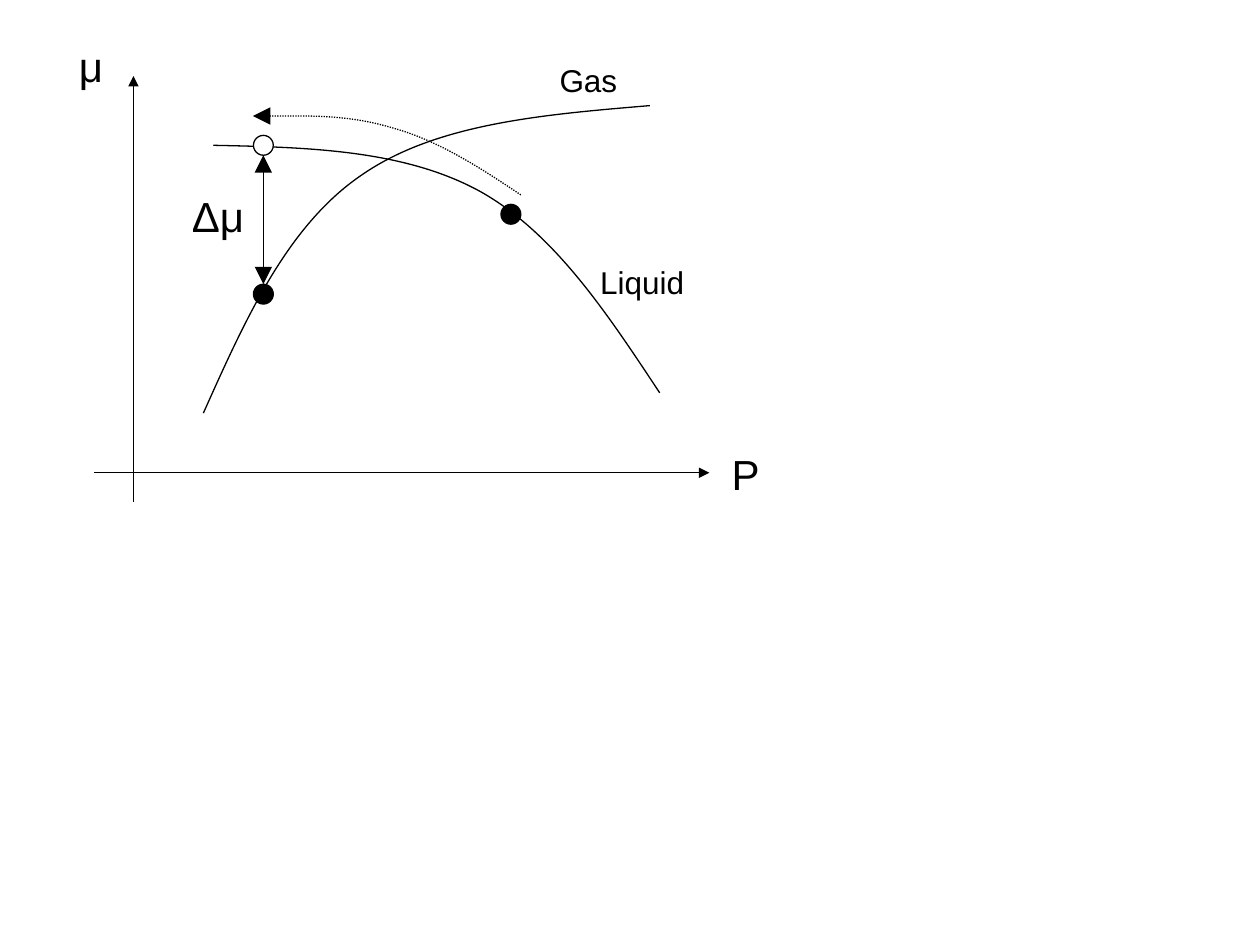
import lxml.etree
import pptx
import pptx.dml.color
import pptx.enum.dml
import pptx.enum.shapes
import pptx.enum.text
import pptx.oxml.ns
import pptx.util

Cm = pptx.util.Cm
qn = pptx.oxml.ns.qn
BLACK, WHITE = "000000", "FFFFFF"
DOT_RADIUS = 0.2

# Each curve: start point, then triples of two control points and an end point
GAS_CURVE = [(4.1, 8.33), (4.95, 6.43), (5.79, 4.55), (7.29, 3.53),
             (8.79, 2.49), (10.95, 2.31), (13.1, 2.13)]
LIQUID_CURVE = [(4.3, 2.93), (6.22, 2.97), (8.15, 3.02), (9.68, 3.86),
                (11.18, 4.7), (12.24, 6.32), (13.3, 7.92)]
EXPANSION_PATH = [(10.5, 3.93), (9.68, 3.38), (8.84, 2.84), (7.95, 2.59),
                  (7.04, 2.31), (6.07, 2.34), (5.1, 2.34)]

# States: stable liquid, metastable liquid, stable gas
LIQUID_STATE = (10.3, 4.32)
METASTABLE_STATE = (5.31, 2.93)
GAS_STATE = (5.31, 5.93)

# Text, left, top, width, height, size
LABELS = [
    ("P", 14.5, 8.92, 1.07, 1.27, 24),
    ("μ", 1.34, 0.7, 1.0, 1.27, 24),
    ("Liquid", 11.85, 5.18, 2.3, 1.02, 18),
    ("Gas", 11.03, 1.1, 1.7, 1.02, 18),
    ("Δμ", 3.62, 3.71, 1.65, 1.27, 24),
]


def color(hex_string):
    return pptx.dml.color.RGBColor.from_string(hex_string)


def apply_format(target, values):
    for name, value in values.items():
        setattr(target, name, value)


def style_line(line, ends=(), size="med", dash=None):
    line.fill.solid()
    line.fill.fore_color.rgb = color(BLACK)
    apply_format(line, {"width": pptx.util.Pt(0.75), "dash_style": dash})
    for end in ends:
        lxml.etree.SubElement(line._get_or_add_ln(), qn(f"a:{end}"),
                              type="triangle", w=size, len=size)


def add_arrow(page, start, finish, ends=("tailEnd",), size="med"):
    arrow = page.shapes.add_connector(
        pptx.enum.shapes.MSO_CONNECTOR.STRAIGHT,
        *(Cm(value) for value in (*start, *finish)))
    style_line(arrow.line, ends, size)
    lxml.etree.SubElement(arrow._element.spPr, qn("a:effectLst"))


def bend_segments(curve):
    """Turn every three straight segments into one cubic Bézier segment."""
    segments = list(curve._element.iter(qn("a:lnTo")))
    for first in range(0, len(segments), 3):
        bend = lxml.etree.Element(qn("a:cubicBezTo"))
        segments[first].addprevious(bend)
        for segment in segments[first:first + 3]:
            bend.append(segment[0])
            segment.getparent().remove(segment)


def add_curve(page, controls, **line_format):
    start, *others = [(Cm(x), Cm(y)) for x, y in controls]
    builder = page.shapes.build_freeform(*start)
    builder.add_line_segments(others, close=False)
    curve = builder.convert_to_shape()
    bend_segments(curve)
    curve.shadow.inherit = False
    curve.fill.background()
    style_line(curve.line, **line_format)


def add_dot(page, center, fill):
    x, y = center
    dot = page.shapes.add_shape(
        pptx.enum.shapes.MSO_SHAPE.OVAL, Cm(x - DOT_RADIUS), Cm(y - DOT_RADIUS),
        Cm(2 * DOT_RADIUS), Cm(2 * DOT_RADIUS))
    dot.shadow.inherit = False
    dot.fill.solid()
    dot.fill.fore_color.rgb = color(fill)
    style_line(dot.line)


def add_label(page, text, left, top, width, height, size):
    box = page.shapes.add_textbox(Cm(left), Cm(top), Cm(width), Cm(height))
    apply_format(box.text_frame, {
        "word_wrap": False,
        "auto_size": pptx.enum.text.MSO_AUTO_SIZE.SHAPE_TO_FIT_TEXT,
    })
    span = box.text_frame.paragraphs[0].add_run()
    span.text = text
    apply_format(span.font, {"name": "Arial", "size": pptx.util.Pt(size)})
    span.font.color.rgb = color(BLACK)


def main():
    deck = pptx.Presentation()
    apply_format(deck, {"slide_width": Cm(25.4), "slide_height": Cm(19.05)})
    page = deck.slides.add_slide(deck.slide_layouts[6])

    # Axes: chemical potential against pressure
    add_arrow(page, (2.69, 10.12), (2.69, 1.53))
    add_arrow(page, (1.9, 9.53), (14.3, 9.53))

    # Phase curves and the dotted expansion path
    add_curve(page, GAS_CURVE)
    add_curve(page, LIQUID_CURVE)
    add_curve(page, EXPANSION_PATH, ends=("tailEnd",), size="lg",
              dash=pptx.enum.dml.MSO_LINE.ROUND_DOT)

    # States and the potential difference between two of them
    for center, fill in ((LIQUID_STATE, BLACK), (METASTABLE_STATE, WHITE),
                         (GAS_STATE, BLACK)):
        add_dot(page, center, fill)
    x, top = METASTABLE_STATE
    bottom = GAS_STATE[1]
    add_arrow(page, (x, top + DOT_RADIUS), (x, bottom - DOT_RADIUS),
              ends=("headEnd", "tailEnd"), size="lg")

    # Labels
    for label in LABELS:
        add_label(page, *label)

    deck.save("out.pptx")


if __name__ == "__main__":
    main()
